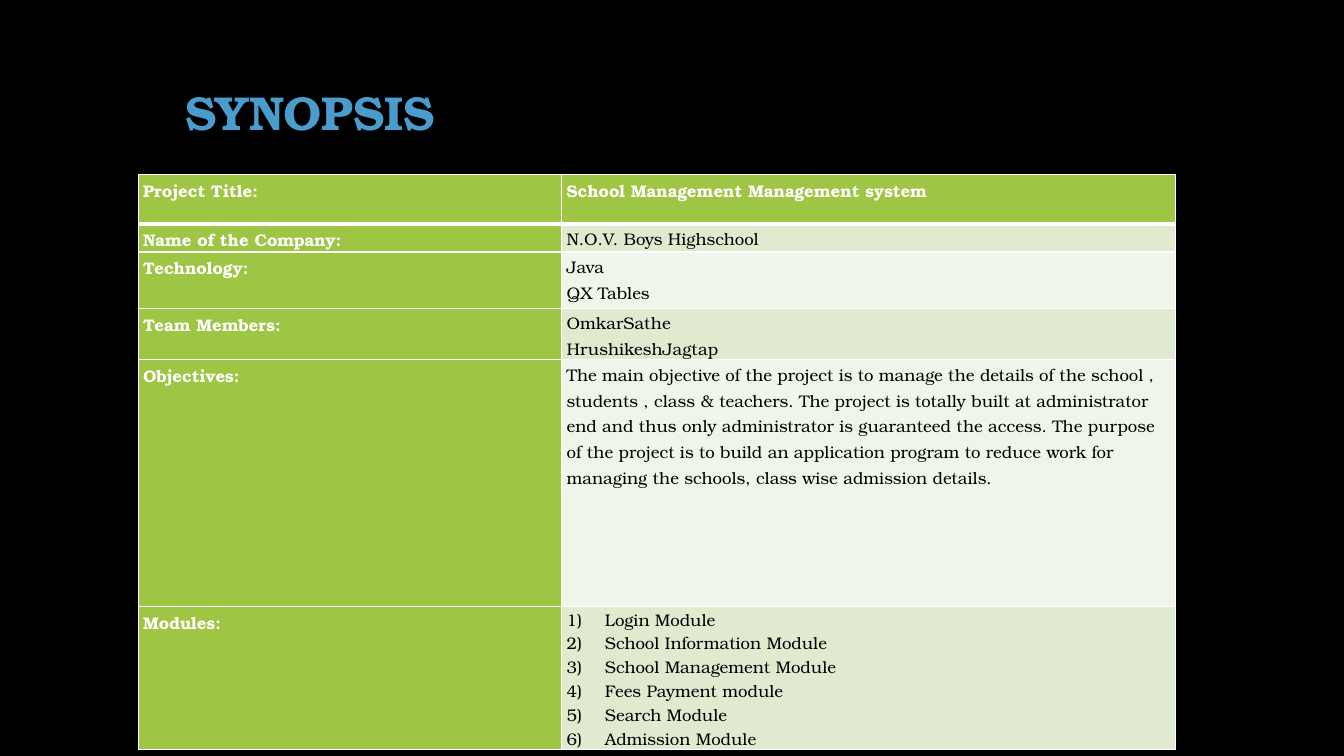
from lxml import etree
from pptx import Presentation
from pptx.dml.color import RGBColor as Rgb
from pptx.enum.text import MSO_ANCHOR as Anchor, PP_ALIGN as Align
from pptx.oxml.ns import qn
from pptx.util import Inches, Pt

COLORS = {
    "page": "000000", "title": "4A9CCC", "label": "9EC544", "border": "FFFFFF",
    "light": "F0F5E9", "tint": "DFEACF", "white": "FFFFFF", "black": "000000",
}
FONT = "TeX Gyre Bonum"
TITLE = {"name": FONT, "size": Pt(34), "bold": True}
LABEL = {"name": FONT, "size": Pt(12), "bold": True}
VALUE = {"name": FONT, "size": Pt(12), "bold": False}
COLUMN_WIDTHS = (4.2, 6.09)
OBJECTIVE = (
    "The main objective of the project is to manage the details of the school , "
    "students , class & teachers. The project is totally built at administrator "
    "end and thus only administrator is guaranteed the access. The purpose of the "
    "project is to build an application program to reduce work for managing the "
    "schools, class wise admission details."
)
MODULES = [
    "Login Module", "School Information Module", "School Management Module",
    "Fees Payment module", "Search Module", "Admission Module",
]
ROWS = [
    (0.49, "Project Title:", ["School Management Management system"]),
    (0.28, "Name of the Company:", ["N.O.V. Boys Highschool"]),
    (0.56, "Technology:", ["Java", "QX Tables"]),
    (0.51, "Team Members:", ["OmkarSathe", "HrushikeshJagtap"]),
    (2.45, "Objectives:", [OBJECTIVE]),
    (1.42, "Modules:", MODULES),
]


def color(name):
    return Rgb.from_string(COLORS[name])


def set_format(target, values):
    for name, value in values.items():
        setattr(target, name, value)


def add_span(para, text, style, ink):
    span = para.add_run()
    span.text = text
    set_format(span.font, style)
    span.font.color.rgb = color(ink)


def number_paragraph(para):
    props = para._p.get_or_add_pPr()
    props.set("marL", str(Inches(0.38)))
    props.set("indent", str(-Inches(0.38)))
    etree.SubElement(props, qn("a:buFont"), typeface="+mj-lt")
    etree.SubElement(props, qn("a:buAutoNum"), type="arabicParenR")


def draw_borders(cell, top, bottom):
    props = cell._tc.get_or_add_tcPr()
    for side, points in (("L", 1), ("R", 1), ("T", top), ("B", bottom)):
        line = etree.SubElement(props, qn(f"a:ln{side}"), w=str(Pt(points)))
        fill = etree.SubElement(line, qn("a:solidFill"))
        etree.SubElement(fill, qn("a:srgbClr"), val=COLORS["border"])


def fill_cell(cell, texts, style, ink, paint, row, numbered=False):
    set_format(cell, {
        "margin_left": Inches(0.05), "margin_right": Inches(0.05),
        "margin_top": 0, "margin_bottom": 0, "vertical_anchor": Anchor.TOP,
    })
    draw_borders(cell, 3 if row == 1 else 1, 3 if row == 0 else 1)
    cell.fill.solid()
    cell.fill.fore_color.rgb = color(paint)
    frame = cell.text_frame
    for index, text in enumerate(texts):
        para = frame.add_paragraph() if index else frame.paragraphs[0]
        para.line_spacing = 1.06 if numbered else 1.15
        if numbered:
            number_paragraph(para)
        add_span(para, text, style, ink)


def add_title(page, left, top, width, height):
    box = page.shapes.add_textbox(*map(Inches, (left, top, width, height)))
    set_format(box.text_frame, {"word_wrap": True, "vertical_anchor": Anchor.MIDDLE})
    para = box.text_frame.paragraphs[0]
    set_format(para, {"alignment": Align.CENTER, "line_spacing": 0.9})
    add_span(para, "SYNOPSIS", TITLE, "title")


def add_synopsis(page, left, top):
    width = sum(COLUMN_WIDTHS)
    height = sum(row[0] for row in ROWS)
    table = page.shapes.add_table(
        len(ROWS), len(COLUMN_WIDTHS), *map(Inches, (left, top, width, height))
    ).table
    for column, column_width in zip(table.columns, COLUMN_WIDTHS):
        column.width = Inches(column_width)
    for index, (row_height, label, values) in enumerate(ROWS):
        table.rows[index].height = Inches(row_height)
        fill_cell(table.cell(index, 0), [label], LABEL, "white", "label", index)
        if index == 0:
            style, ink, paint = LABEL, "white", "label"
        else:
            style, ink, paint = VALUE, "black", "tint" if index % 2 else "light"
        fill_cell(table.cell(index, 1), values, style, ink, paint, index, values is MODULES)


def main():
    deck = Presentation()
    set_format(deck, {"slide_width": Inches(13.33), "slide_height": Inches(7.5)})
    page = deck.slides.add_slide(deck.slide_layouts[6])
    page.background.fill.solid()
    page.background.fill.fore_color.rgb = color("page")
    add_title(page, 1, 0.67, 4.15, 0.95)
    add_synopsis(page, 1.37, 1.73)
    deck.save("out.pptx")


if __name__ == "__main__":
    main()
